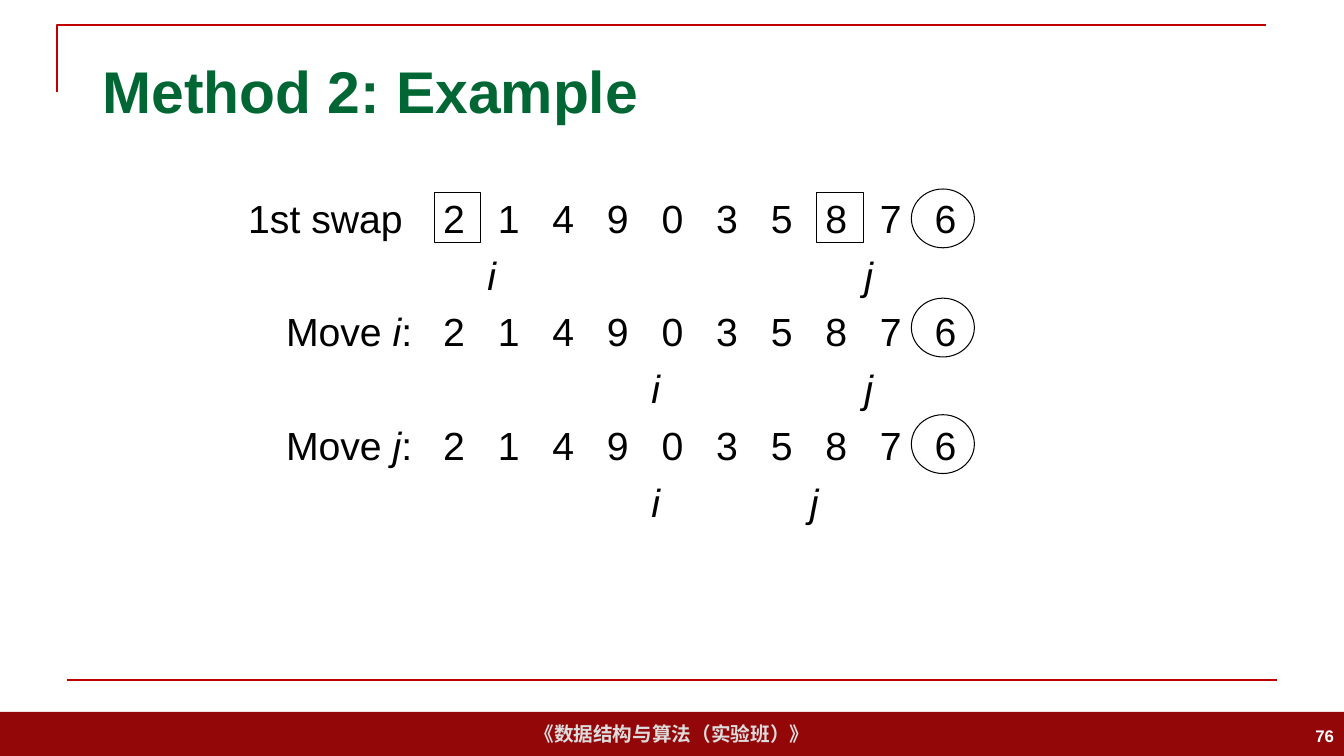
import lxml.etree
import pptx
import pptx.dml.color
import pptx.enum.shapes
import pptx.enum.text
import pptx.oxml.ns
import pptx.util

RGBColor = pptx.dml.color.RGBColor
Shape = pptx.enum.shapes.MSO_SHAPE
Align = pptx.enum.text.PP_ALIGN
Anchor = pptx.enum.text.MSO_ANCHOR
qn = pptx.oxml.ns.qn

BLACK = RGBColor(0x00, 0x00, 0x00)
WHITE = RGBColor(0xFF, 0xFF, 0xFF)
LIGHT_GREY = RGBColor(0xDD, 0xDD, 0xDD)
GREEN = RGBColor(0x00, 0x66, 0x33)
RED = RGBColor(0xC0, 0x00, 0x00)
DARK_RED = RGBColor(0x94, 0x07, 0x09)

EMU_PER_PX = 9525
LABEL_TAB = 36
DIGIT_TABS = [196 + 52 * slot for slot in range(10)]
I_SHIFT, J_SHIFT = -16, -21


def px(length):
    return pptx.util.Emu(length * EMU_PER_PX)


class SlideBuilder:
    font = "Arial"

    def __init__(self, deck):
        self.page = deck.slides.add_slide(deck.slide_layouts[5])
        self.shapes = self.page.shapes

    def style(self, para, size, color, bold=False, align=Align.LEFT):
        para.alignment = align
        para.font.name = self.font
        para.font.size = pptx.util.Pt(size)
        para.font.color.rgb = color
        para.font.bold = bold

    def title(self, text, left, top, width, height):
        box = self.shapes.title
        box.left, box.top, box.width, box.height = map(px, (left, top, width, height))
        box.text_frame.text = text
        box.text_frame.vertical_anchor = Anchor.MIDDLE
        self.style(box.text_frame.paragraphs[0], 42, GREEN, bold=True)

    def text_box(self, left, top, width, height):
        frame = self.shapes.add_textbox(*map(px, (left, top, width, height))).text_frame
        frame.word_wrap = True
        return frame

    def outline(self, kind, left, top, width, height):
        shape = self.shapes.add_shape(kind, *map(px, (left, top, width, height)))
        shape.shadow.inherit = False
        shape.fill.background()
        shape.line.color.rgb = BLACK
        shape.line.width = pptx.util.Pt(0.75)
        return shape

    def footer(self, text, left, top, width, height):
        band = self.outline(Shape.RECTANGLE, left, top, width, height)
        band.fill.solid()
        band.fill.fore_color.rgb = DARK_RED
        band.line.fill.background()
        band.text_frame.text = text
        band.text_frame.vertical_anchor = Anchor.MIDDLE
        self.style(band.text_frame.paragraphs[0], 14, LIGHT_GREY, True, Align.CENTER)

    def page_number(self, text, left, top, width, height):
        frame = self.text_box(left, top, width, height)
        frame.text = text
        frame.vertical_anchor = Anchor.MIDDLE
        self.style(frame.paragraphs[0], 12, WHITE, True, Align.RIGHT)

    def rule(self, left, top, right, bottom):
        line = self.shapes.add_connector(
            pptx.enum.shapes.MSO_CONNECTOR.STRAIGHT, *map(px, (left, top, right, bottom)))
        line.line.color.rgb = RED
        line.line.width = pptx.util.Pt(1.5)
        lxml.etree.SubElement(line._element.spPr, qn("a:effectLst"))

    def corner(self, left, top, right, bottom):
        """Draw the open frame line: up the left side, then along the top."""
        builder = self.shapes.build_freeform(left, bottom, scale=EMU_PER_PX)
        builder.add_line_segments([(left, top), (right, top)], close=False)
        shape = builder.convert_to_shape()
        shape.shadow.inherit = False
        shape.fill.background()
        shape.line.color.rgb = RED
        shape.line.width = pptx.util.Pt(1.5)

    def tabbed_line(self, para, spans, tabs):
        """Fill a paragraph with (text, italic) spans and (position, alignment) tabs."""
        self.style(para, 28, BLACK)
        para.space_before = pptx.util.Pt(7)
        for text, italic in spans:
            span = para.add_run()
            span.text = text
            span.font.italic = italic
        stops = lxml.etree.Element(qn("a:tabLst"))
        for position, align in tabs:
            lxml.etree.SubElement(
                stops, qn("a:tab"), pos=str(px(position)), algn=align)
        properties = para._p.get_or_add_pPr()
        defaults = properties.find(qn("a:defRPr"))
        defaults.addprevious(stops)


def add_trace(slide, steps):
    """Write each step as a row of digits above a row with its i and j."""
    frame = slide.text_box(227, 180, 816, 528)
    digits = "".join("\t" + digit for digit in "2149035876")
    digit_tabs = [(position, "ctr") for position in DIGIT_TABS]
    paras = [frame.paragraphs[0]]
    paras += [frame.add_paragraph() for _ in range(2 * len(steps) - 1)]
    for step, (label, i_slot, j_slot) in enumerate(steps):
        spans = label + [(digits, False)]
        tabs = digit_tabs
        if label[0][0].startswith("\t"):
            tabs = [(LABEL_TAB, "l")] + digit_tabs
        slide.tabbed_line(paras[2 * step], spans, tabs)
        pointer_tabs = [(DIGIT_TABS[i_slot] + I_SHIFT, "ctr"),
                        (DIGIT_TABS[j_slot] + J_SHIFT, "ctr")]
        slide.tabbed_line(paras[2 * step + 1], [("\ti\tj", True)], pointer_tabs)


def main():
    deck = pptx.Presentation()
    deck.slide_width, deck.slide_height = px(1280), px(720)
    slide = SlideBuilder(deck)

    slide.footer("《数据结构与算法（实验班）》", 0, 678, 1280, 42)
    slide.corner(54, 24, 1206, 88)
    slide.rule(64, 648, 1216, 648)
    slide.title("Method 2: Example", 88, 38, 1104, 95)
    slide.page_number("76", 992, 682, 288, 38)

    add_trace(slide, [
        ([("1st swap", False)], 1, 8),
        ([("\tMove ", False), ("i", True), (":", False)], 4, 8),
        ([("\tMove ", False), ("j", True), (":", False)], 4, 7),
    ])
    for swapped_left in (414, 778):
        slide.outline(Shape.RECTANGLE, swapped_left, 183, 44, 48)
    for pivot_top in (180, 284, 395):
        slide.outline(Shape.OVAL, 868, pivot_top, 60, 56)

    deck.save("out.pptx")


if __name__ == "__main__":
    main()
